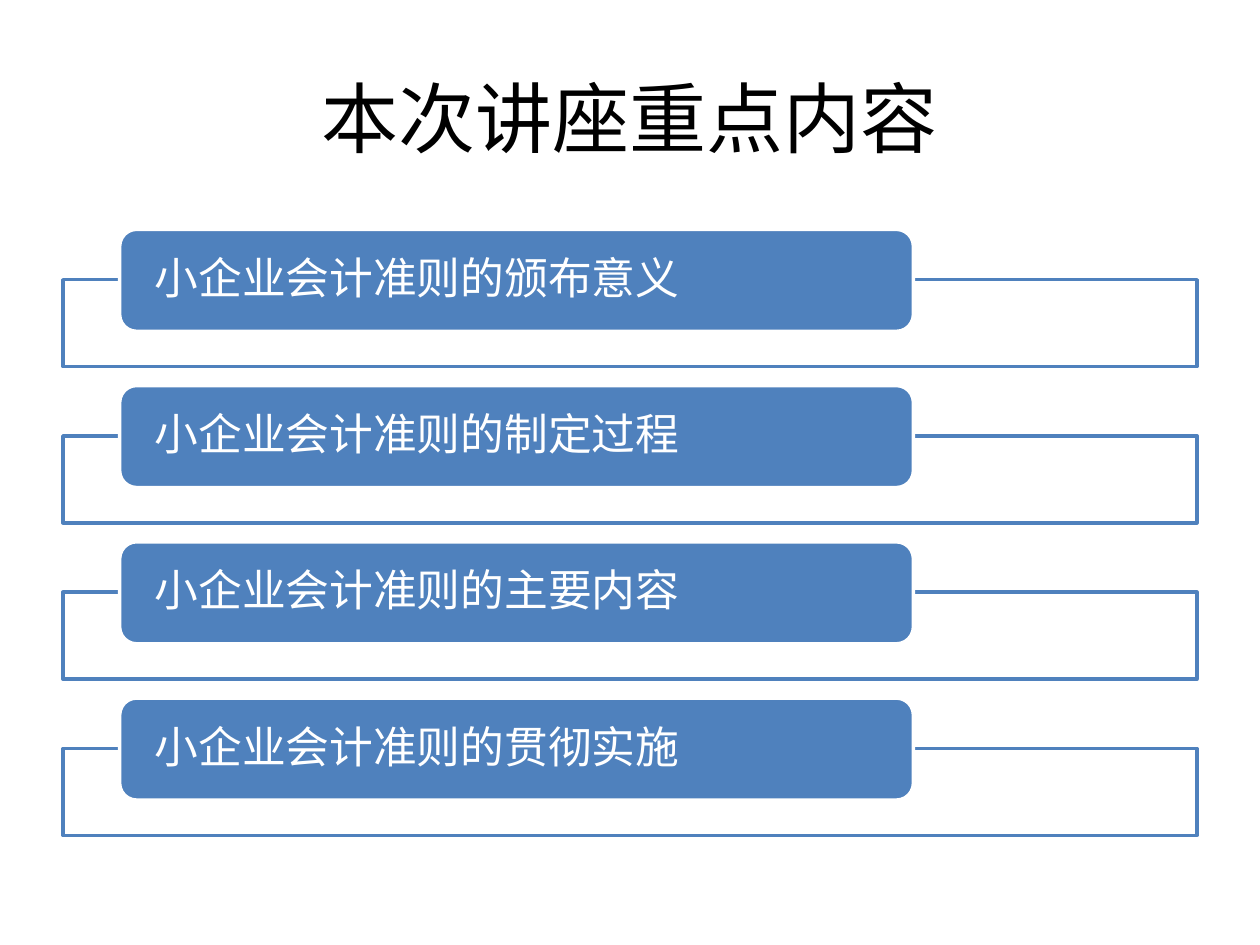
import pptx
from lxml import etree
from pptx.dml.color import RGBColor
from pptx.enum.shapes import MSO_SHAPE
from pptx.enum.text import MSO_ANCHOR, PP_ALIGN
from pptx.oxml.ns import qn
from pptx.util import Inches, Pt

BLUE = RGBColor(0x4F, 0x81, 0xBD)
WHITE = RGBColor(0xFF, 0xFF, 0xFF)
BLACK = RGBColor(0x00, 0x00, 0x00)
FONT = "Calibri"

TITLE = "本次讲座重点内容"
TOPICS = [
    "小企业会计准则的颁布意义",
    "小企业会计准则的制定过程",
    "小企业会计准则的主要内容",
    "小企业会计准则的贯彻实施",
]

FRAME_HEIGHT = 0.69
FRAME_DROP = 0.4  # from the top of a label to the top of its frame
LABEL_INDENT = 0.45
LABEL_HEIGHT = 0.81
TOPIC_PITCH = 1.24


def format_paragraph(paragraph, size, color, alignment):
    paragraph.alignment = alignment
    paragraph.font.name = FONT
    paragraph.font.size = Pt(size)
    paragraph.font.color.rgb = color


def add_box(shapes, preset, left, top, width, height, fill, outline):
    box = shapes.add_shape(
        preset, Inches(left), Inches(top), Inches(width), Inches(height)
    )
    box.shadow.inherit = False
    box.fill.solid()
    box.fill.fore_color.rgb = fill
    box.line.color.rgb = outline
    box.line.width = Pt(2)
    return box


def set_opacity(box, percent):
    color = box.fill._xPr.find(qn("a:solidFill"))[0]
    etree.SubElement(color, qn("a:alpha"), val=str(percent * 1000))


def place_title(slide, left, top, width, height):
    title = slide.shapes.title
    title.left, title.top = Inches(left), Inches(top)
    title.width, title.height = Inches(width), Inches(height)
    title.text_frame.text = TITLE
    title.text_frame.vertical_anchor = MSO_ANCHOR.MIDDLE
    format_paragraph(title.text_frame.paragraphs[0], 44, BLACK, PP_ALIGN.CENTER)


def add_topic(shapes, topic, left, top, width):
    """Draw an open frame with a rounded label over its upper edge."""
    frame = add_box(shapes, MSO_SHAPE.RECTANGLE, left, top + FRAME_DROP,
                    width, FRAME_HEIGHT, WHITE, BLUE)
    set_opacity(frame, 90)
    label = add_box(shapes, MSO_SHAPE.ROUNDED_RECTANGLE, left + LABEL_INDENT, top,
                    width * 0.7, LABEL_HEIGHT, BLUE, WHITE)
    text = label.text_frame
    text.word_wrap = True
    text.vertical_anchor = MSO_ANCHOR.MIDDLE
    text.margin_left = text.margin_right = Inches(0.24)
    text.margin_top = text.margin_bottom = 0
    text.text = topic
    paragraph = text.paragraphs[0]
    paragraph.line_spacing = 0.9
    format_paragraph(paragraph, 25, WHITE, PP_ALIGN.LEFT)


def add_topic_list(slide, left, top, width):
    group = slide.shapes.add_group_shape()
    for index, topic in enumerate(TOPICS):
        add_topic(group.shapes, topic, left, top + index * TOPIC_PITCH, width)


def main():
    presentation = pptx.Presentation()
    presentation.slide_width = Inches(10)
    presentation.slide_height = Inches(7.5)
    title_only = presentation.slide_layouts[5]
    slide = presentation.slides.add_slide(title_only)
    place_title(slide, 0.5, 0.3, 9, 1.25)
    add_topic_list(slide, 0.5, 1.82, 9)
    presentation.save("out.pptx")


if __name__ == "__main__":
    main()
